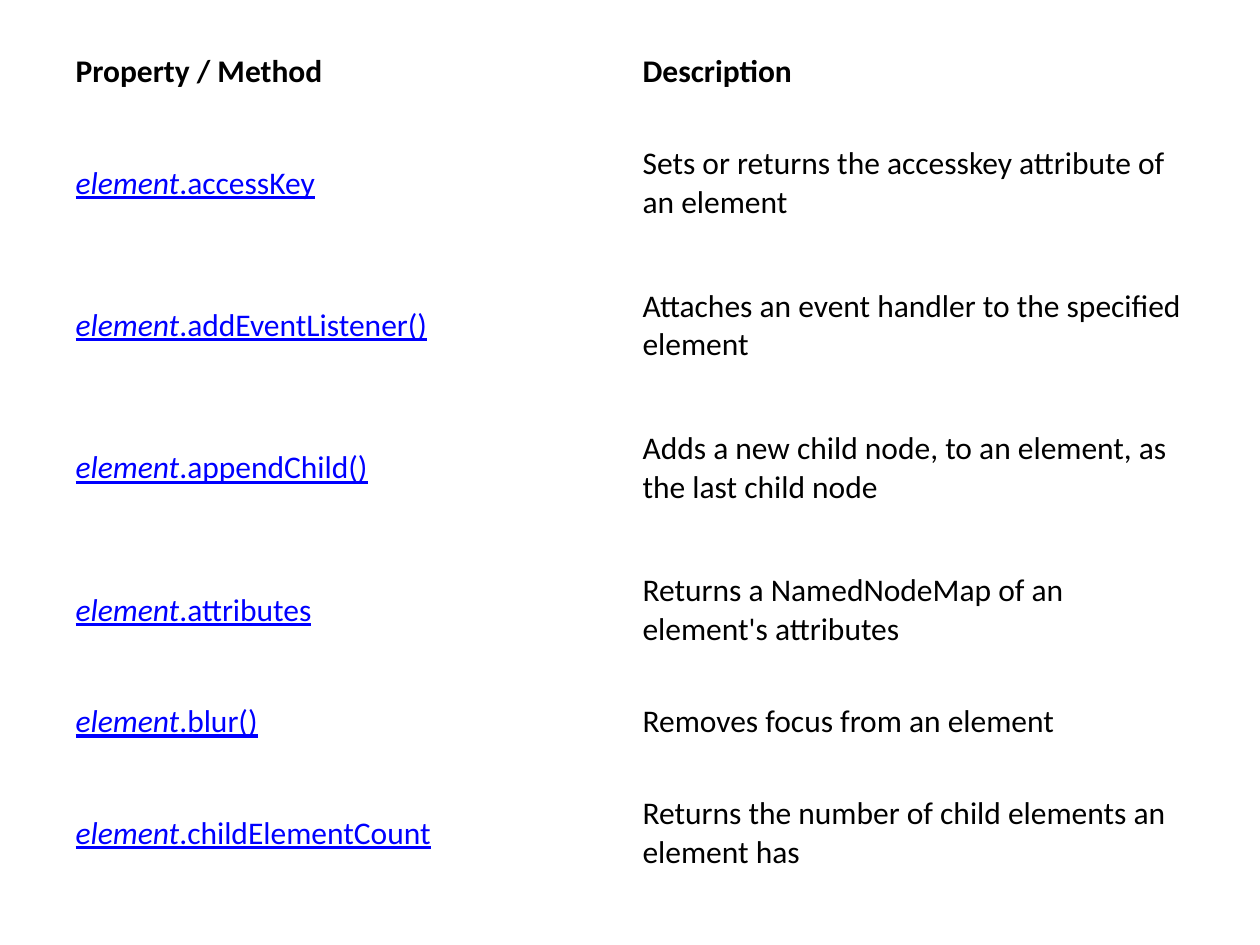
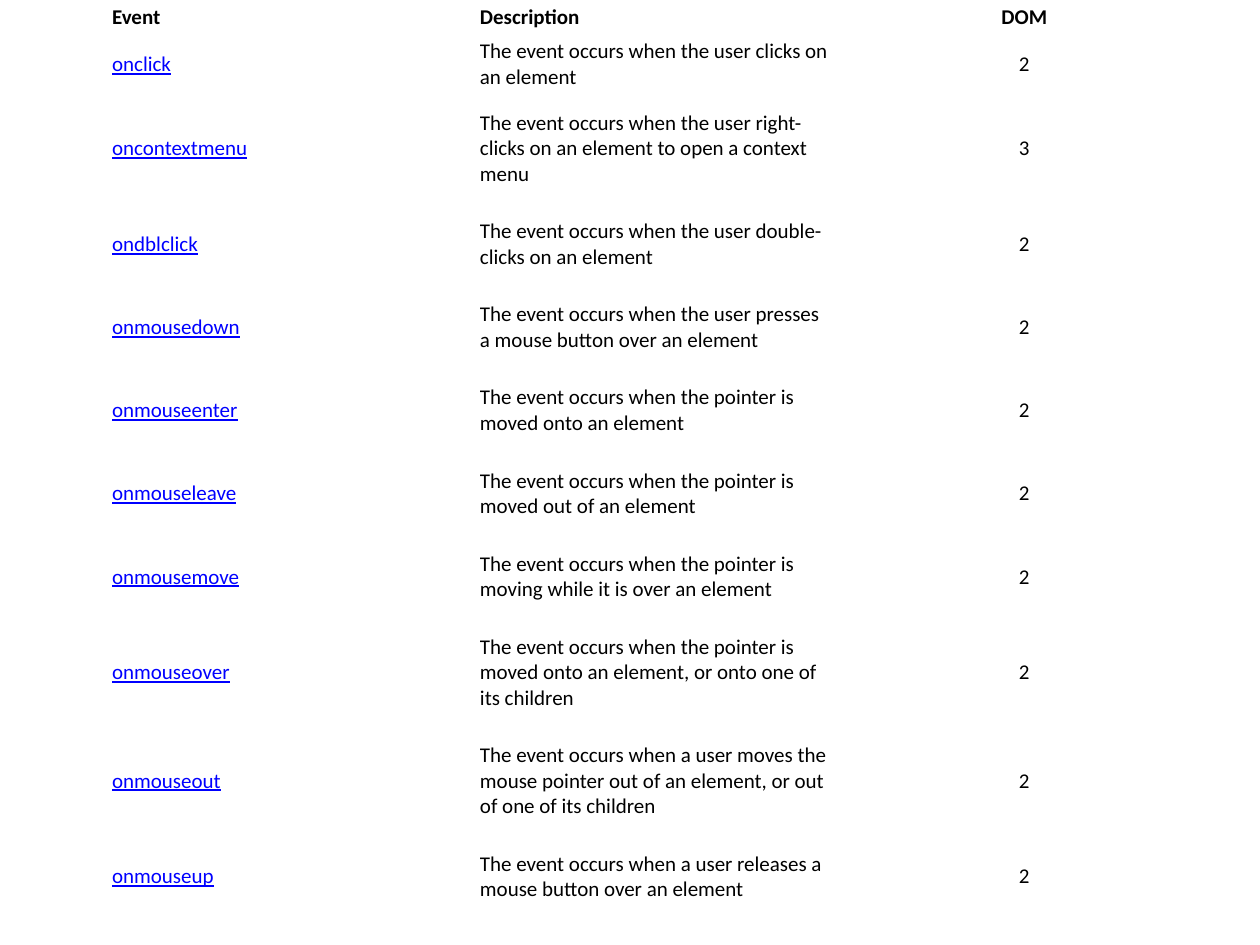
from dataclasses import dataclass

from pptx import Presentation
from pptx import util as u
from pptx.dml.color import RGBColor
from pptx.enum import text

FONT = "Calibri"
INK = "000000"
LINK = "0000FF"
PAGE_SIZE = (10, 7.5)


@dataclass
class TableStyle:
    """Sizes in inches and points that one reference table uses."""
    left: float
    top: float
    column_width: float
    font_size: int
    side_margin: float
    end_margin: float


METHOD_STYLE = TableStyle(0.5, 0.25, 4.5, 18, 0.1, 0.05)
EVENT_STYLE = TableStyle(0.83, 0, 2.92, 12, 0.06, 0.03)

METHOD_HEADER = ("Property / Method", "Description")
METHOD_SHORT, METHOD_TALL = 0.64, 1.13
METHODS = [
    (METHOD_TALL, ".accessKey", "Sets or returns the accesskey attribute of an element"),
    (METHOD_TALL, ".addEventListener()", "Attaches an event handler to the specified element"),
    (METHOD_TALL, ".appendChild()", "Adds a new child node, to an element, as the last child node"),
    (METHOD_TALL, ".attributes", "Returns a NamedNodeMap of an element's attributes"),
    (METHOD_SHORT, ".blur()", "Removes focus from an element"),
    (METHOD_TALL, ".childElementCount", "Returns the number of child elements an element has"),
]

EVENT_HEADER = ("Event", "Description", "DOM")
EVENT_HEAD, EVENT_SHORT, EVENT_MID, EVENT_TALL = 0.27, 0.48, 0.66, 0.86
EVENTS = [
    (EVENT_SHORT, "onclick", "the user clicks on an element", "2"),
    (EVENT_TALL, "oncontextmenu",
     "the user right-clicks on an element to open a context menu", "3"),
    (EVENT_MID, "ondblclick", "the user double-clicks on an element", "2"),
    (EVENT_MID, "onmousedown", "the user presses a mouse button over an element", "2"),
    (EVENT_MID, "onmouseenter", "the pointer is moved onto an element", "2"),
    (EVENT_MID, "onmouseleave", "the pointer is moved out of an element", "2"),
    (EVENT_MID, "onmousemove", "the pointer is moving while it is over an element", "2"),
    (EVENT_TALL, "onmouseover",
     "the pointer is moved onto an element, or onto one of its children", "2"),
    (EVENT_TALL, "onmouseout",
     "a user moves the mouse pointer out of an element, or out of one of its children", "2"),
    (EVENT_MID, "onmouseup", "a user releases a mouse button over an element", "2"),
]


def color(value):
    """Turn a hex string into a colour."""
    return RGBColor.from_string(value)


def fill_cell(cell, style, words, header=False, link=False, centered=False, prefix=""):
    """Write one cell, with an optional italic prefix before its words."""
    cell.fill.background()
    cell.vertical_anchor = text.MSO_ANCHOR.MIDDLE
    cell.margin_left = cell.margin_right = u.Inches(style.side_margin)
    cell.margin_top = cell.margin_bottom = u.Inches(style.end_margin)
    para = cell.text_frame.paragraphs[0]
    para.alignment = text.PP_ALIGN.CENTER if centered else text.PP_ALIGN.LEFT
    para.font.name = FONT
    para.font.size = u.Pt(style.font_size)
    para.font.bold = header
    para.font.underline = link
    para.font.color.rgb = color(LINK if link else INK)
    if prefix:
        span = para.add_run()
        span.text = prefix
        span.font.italic = True
    para.add_run().text = words


def add_reference_table(deck, style, heights, rows, prefix=""):
    """Add a page with a plain table: header row first, links in the first column."""
    page = deck.slides.add_slide(deck.slide_layouts[6])
    columns = len(rows[0])
    table = page.shapes.add_table(
        len(rows), columns, u.Inches(style.left), u.Inches(style.top),
        u.Inches(style.column_width * columns), u.Inches(sum(heights))).table
    table.first_row = table.horz_banding = False
    for column in table.columns:
        column.width = u.Inches(style.column_width)
    for row, (height, entries) in enumerate(zip(heights, rows)):
        table.rows[row].height = u.Inches(height)
        for column, words in enumerate(entries):
            link = row > 0 and column == 0
            fill_cell(table.cell(row, column), style, words, header=row == 0,
                      link=link, centered=column == 2, prefix=prefix if link else "")


def main():
    """Build the two reference pages."""
    deck = Presentation()
    deck.slide_width, deck.slide_height = map(u.Inches, PAGE_SIZE)
    add_reference_table(
        deck, METHOD_STYLE, [METHOD_SHORT] + [height for height, *_ in METHODS],
        [METHOD_HEADER] + [entries for _, *entries in METHODS], prefix="element")
    add_reference_table(
        deck, EVENT_STYLE, [EVENT_HEAD] + [height for height, *_ in EVENTS],
        [EVENT_HEADER] + [(name, f"The event occurs when {cause}", level)
                          for _, name, cause, level in EVENTS])
    deck.save("out.pptx")


if __name__ == "__main__":
    main()
